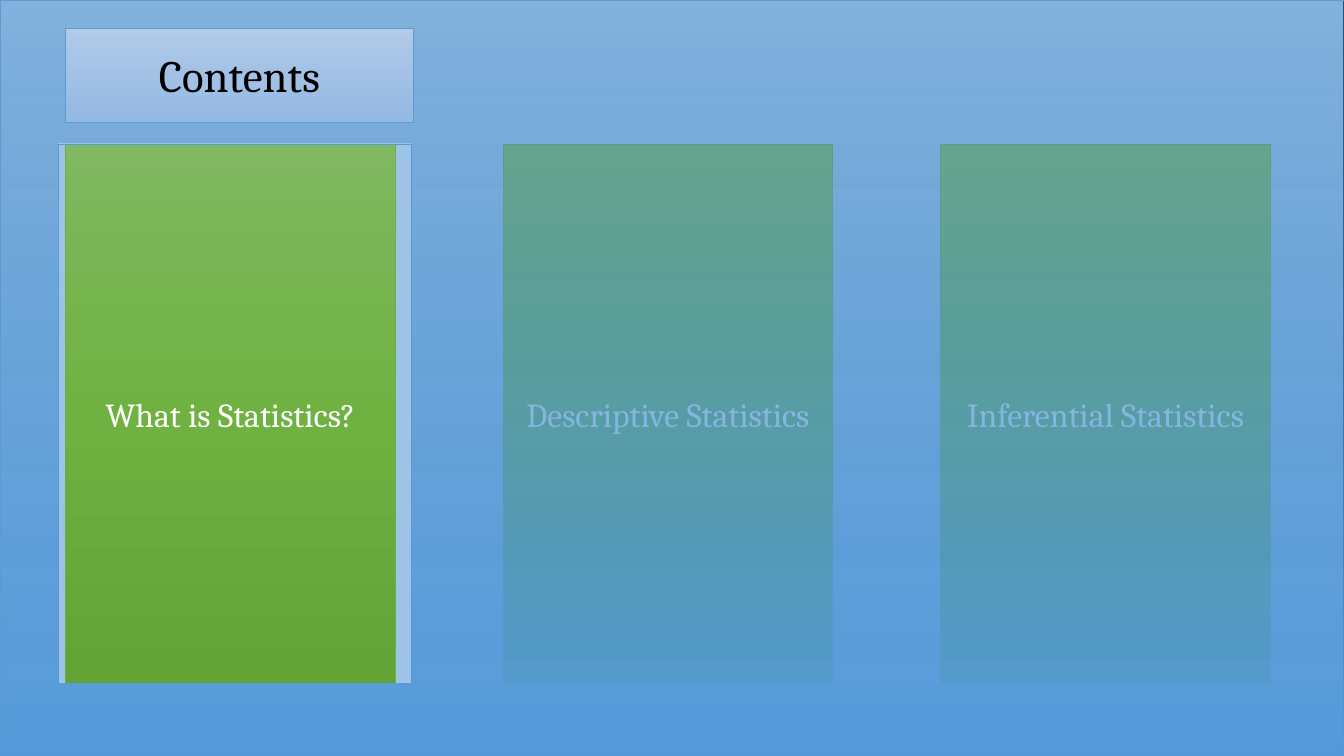
import pptx
import pptx.dml.color
import pptx.enum.shapes
import pptx.enum.text
import pptx.oxml
import pptx.oxml.ns
import pptx.util
from pptx.util import Inches

COLORS = {
    "backdrop": "9DC3E6", "backdrop_line": "1E3256",
    "green_top": "81B861", "green_mid": "6FB242", "green_low": "62A336",
    "green_line": "70AD47",
    "title_top": "B1CBE9", "title_mid": "A3C1E5", "title_low": "93B9E4",
    "veil_top": "448ACA", "veil_low": "559BDB", "blue_line": "5B9BD5",
    "white": "FFFFFF", "black": "000000",
}
TOPICS = ["What is Statistics?", "Descriptive Statistics", "Inferential Statistics"]
SLIDE_BOX = (0, 0, 13.33, 7.5)
TITLE_BOX = (0.65, 0.28, 3.45, 0.93)
TOPICS_BOX = (0.65, 1.43, 11.95, 5.35)
FOCUS_BOX = (0.58, 1.43, 3.5, 5.35)
TOPIC_WIDTH = 3.27


def rgb(name):
    return pptx.dml.color.RGBColor.from_string(COLORS[name])


def set_line(sp, color, width):
    sp.line.color.rgb = rgb(color)
    sp.line.width = pptx.util.Pt(width)
    sp.shadow.inherit = False


def set_gradient(sp, stops):
    sp.fill.gradient()
    sp.fill.gradient_angle = 270
    gs_list = sp.fill._fill._gradFill.find(pptx.oxml.ns.qn("a:gsLst"))
    for gs in list(gs_list):
        gs_list.remove(gs)
    for pos, color, alpha in stops:
        gs_list.append(pptx.oxml.parse_xml(
            f'<a:gs {pptx.oxml.ns.nsdecls("a")} pos="{pos * 1000}">'
            f'<a:srgbClr val="{COLORS[color]}"><a:alpha val="{alpha * 1000}"/>'
            f'</a:srgbClr></a:gs>'))


def add_rect(s, box):
    return s.shapes.add_shape(pptx.enum.shapes.MSO_SHAPE.RECTANGLE,
                              *[Inches(v) for v in box])


def set_text(sp, text, size, color, font="Cambria"):
    tf = sp.text_frame
    tf.word_wrap = True
    tf.vertical_anchor = pptx.enum.text.MSO_ANCHOR.MIDDLE
    p = tf.paragraphs[0]
    p.alignment = pptx.enum.text.PP_ALIGN.CENTER
    r = p.add_run()
    r.text = text
    r.font.name = font
    r.font.size = pptx.util.Pt(size)
    r.font.color.rgb = rgb(color)


def add_panel(s, box, shade, line, text, size, color):
    sp = add_rect(s, box)
    set_gradient(sp, [(0, f"{shade}_top", 100), (50, f"{shade}_mid", 100),
                      (100, f"{shade}_low", 100)])
    set_line(sp, line, 0.5)
    set_text(sp, text, size=size, color=color)


def add_backdrop(s, box):
    sp = add_rect(s, box)
    sp.fill.solid()
    sp.fill.fore_color.rgb = rgb("backdrop")
    set_line(sp, "backdrop_line", 1)


def add_topics(s, box):
    x, y, w, h = box
    step = (w - TOPIC_WIDTH) / (len(TOPICS) - 1)
    for i, topic in enumerate(TOPICS):
        add_panel(s, (x + i * step, y, TOPIC_WIDTH, h), "green", "green_line",
                  topic, size=24, color="white")


def add_veil(s, box, hole):
    x, y, w, h = [Inches(v) for v in box]
    hx, hy, hw, hh = [Inches(v) for v in hole]
    fb = s.shapes.build_freeform(hx, hy)
    fb.add_line_segments([(hx, hy + hh), (hx + hw, hy + hh), (hx + hw, hy)])
    fb.move_to(x, y)
    fb.add_line_segments([(x + w, y), (x + w, y + h), (x, y + h)])
    sp = fb.convert_to_shape()
    set_gradient(sp, [(0, "veil_top", 30), (100, "veil_low", 100)])
    set_line(sp, "blue_line", 0.5)


def add_title(s, box):
    add_panel(s, box, "title", "blue_line", "Contents", size=32, color="black")


def build_contents(prs):
    s = prs.slides.add_slide(prs.slide_layouts[6])
    add_backdrop(s, SLIDE_BOX)
    add_topics(s, TOPICS_BOX)
    add_veil(s, SLIDE_BOX, FOCUS_BOX)
    add_title(s, TITLE_BOX)


def main():
    prs = pptx.Presentation()
    prs.slide_width = Inches(13.33)
    prs.slide_height = Inches(7.5)
    build_contents(prs)
    prs.save("out.pptx")


if __name__ == "__main__":
    main()
